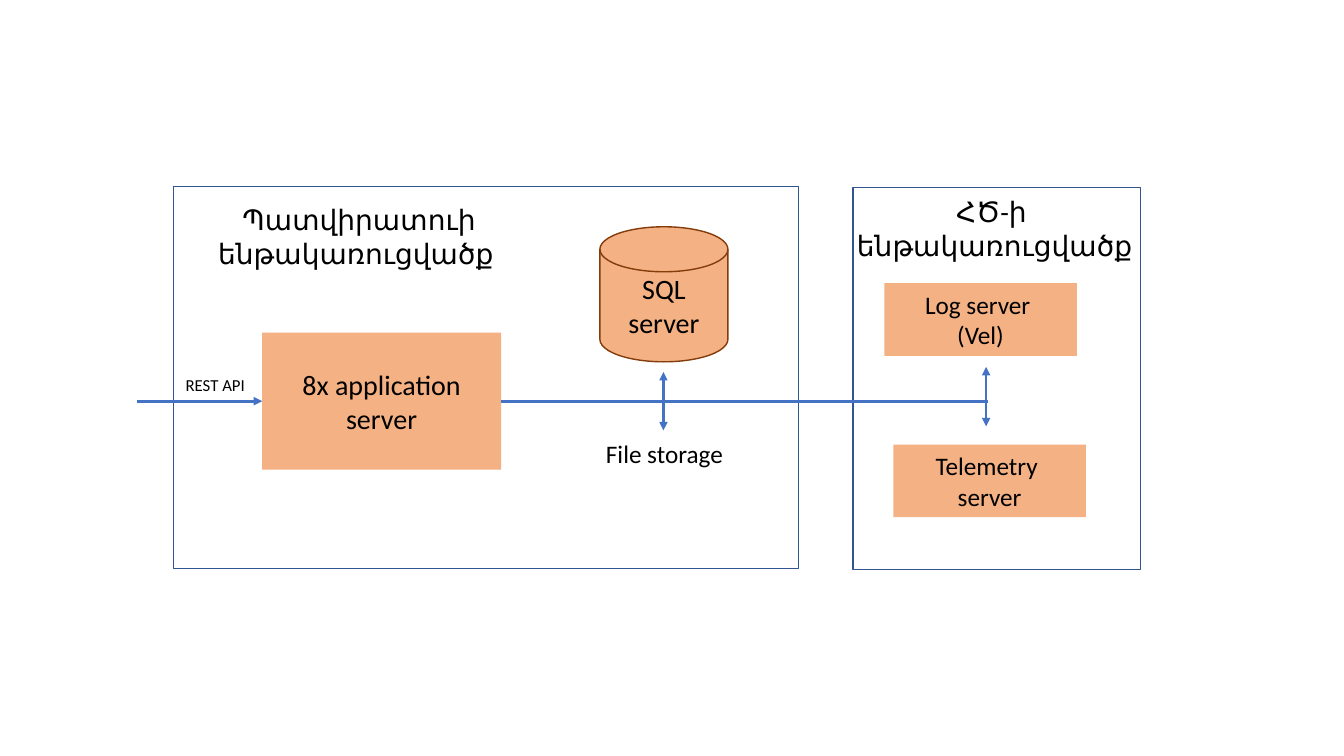
from lxml import etree
from pptx import Presentation
from pptx.dml.color import RGBColor
from pptx.enum.shapes import MSO_CONNECTOR as Connector, MSO_SHAPE as Shape
from pptx.enum.text import MSO_ANCHOR as Anchor, PP_ALIGN as Align
from pptx.oxml.ns import qn
from pptx.util import Inches, Pt

COLORS = {
    "white": "FFFFFF", "black": "000000", "orange": "F4B183",
    "brown": "843C0B", "navy": "325491", "blue": "4472C4",
}
FONT = "Calibri"

# Zones: left, top, width, height
ZONES = [(1.72, 1.85, 6.2, 3.79), (8.46, 1.86, 2.85, 3.79)]

# Parts: preset, (left, top, width, height), fill, outline, text, size
PARTS = {
    "storage": (Shape.RECTANGLE, (5.88, 4.36, 1.42, 0.28), "white", None, "File storage", 18),
    "database": (Shape.FLOWCHART_MAGNETIC_DISK, (5.95, 2.25, 1.27, 1.34),
                 "orange", "brown", "SQL server", 20),
    "application": (Shape.RECTANGLE, (2.6, 3.3, 2.37, 1.36),
                    "orange", None, "8x application server", 20),
    "telemetry": (Shape.RECTANGLE, (8.86, 4.41, 1.91, 0.72),
                  "orange", None, "Telemetry \vserver", 18),
    "log": (Shape.RECTANGLE, (8.77, 2.81, 1.91, 0.72),
            "orange", None, "Log server \n(Vel)", 18),
}

# Labels: (left, top, width, height), text, size
LABELS = [
    ((1.47, 3.67, 1.33, 0.34), "REST API", 12),
    ((1.81, 1.96, 3.44, 0.77), " Պատվիրատուի ենթակառուցվածք", 20),
    ((7.76, 1.88, 4.21, 0.77), "ՀԾ-ի \vենթակառուցվածք", 20),
]

# Connectors: start, end, arrow at start, arrow at end
AXIS = 3.98
CONNECTORS = {
    "call": ((1.36, AXIS), (2.6, AXIS), False, True),
    "bus": ((4.97, AXIS), (9.8, AXIS), False, False),
    "storage link": ((6.58, 3.69), (6.58, 4.27), True, True),
    "monitoring link": ((9.78, 3.64), (9.78, 4.23), True, True),
}


def rgb(name):
    return RGBColor.from_string(COLORS[name])


def write(box, text, size, anchor):
    frame = box.text_frame
    frame.text = text
    frame.word_wrap = True
    frame.vertical_anchor = anchor
    for para in frame.paragraphs:
        para.alignment = Align.CENTER
        for span in para.runs:
            for key, value in {"name": FONT, "size": Pt(size)}.items():
                setattr(span.font, key, value)
            span.font.color.rgb = rgb("black")


def add_box(page, preset, place, fill, outline, text="", size=18):
    box = page.shapes.add_shape(preset, *map(Inches, place))
    box.shadow.inherit = False
    box.fill.solid()
    box.fill.fore_color.rgb = rgb(fill)
    if outline:
        box.line.color.rgb = rgb(outline)
        box.line.width = Pt(1)
    else:
        box.line.fill.background()
    if text:
        write(box, text, size, Anchor.MIDDLE)
    return box


def add_line(page, start, end, start_arrow, end_arrow):
    line = page.shapes.add_connector(Connector.STRAIGHT, *map(Inches, start + end))
    line.line.color.rgb = rgb("blue")
    line.line.width = Pt(2)
    outline = line.line._get_or_add_ln()
    for tag, wanted in (("a:headEnd", start_arrow), ("a:tailEnd", end_arrow)):
        if wanted:
            etree.SubElement(outline, qn(tag), type="triangle")
    etree.SubElement(line._element.spPr, qn("a:effectLst"))
    return line


def main():
    deck = Presentation()
    deck.slide_width, deck.slide_height = Inches(13.33), Inches(7.5)
    page = deck.slides.add_slide(deck.slide_layouts[6])

    # Zones, then servers and storage
    for place in ZONES:
        add_box(page, Shape.RECTANGLE, place, "white", "navy")
    boxes = {name: add_box(page, *row) for name, row in PARTS.items()}

    # Zone titles and call label
    for place, text, size in LABELS:
        label = page.shapes.add_textbox(*map(Inches, place))
        write(label, text, size, Anchor.TOP)

    # Data flow
    lines = {name: add_line(page, *row) for name, row in CONNECTORS.items()}
    lines["call"].end_connect(boxes["application"], 1)
    lines["bus"].begin_connect(boxes["application"], 3)

    deck.save("out.pptx")


if __name__ == "__main__":
    main()
